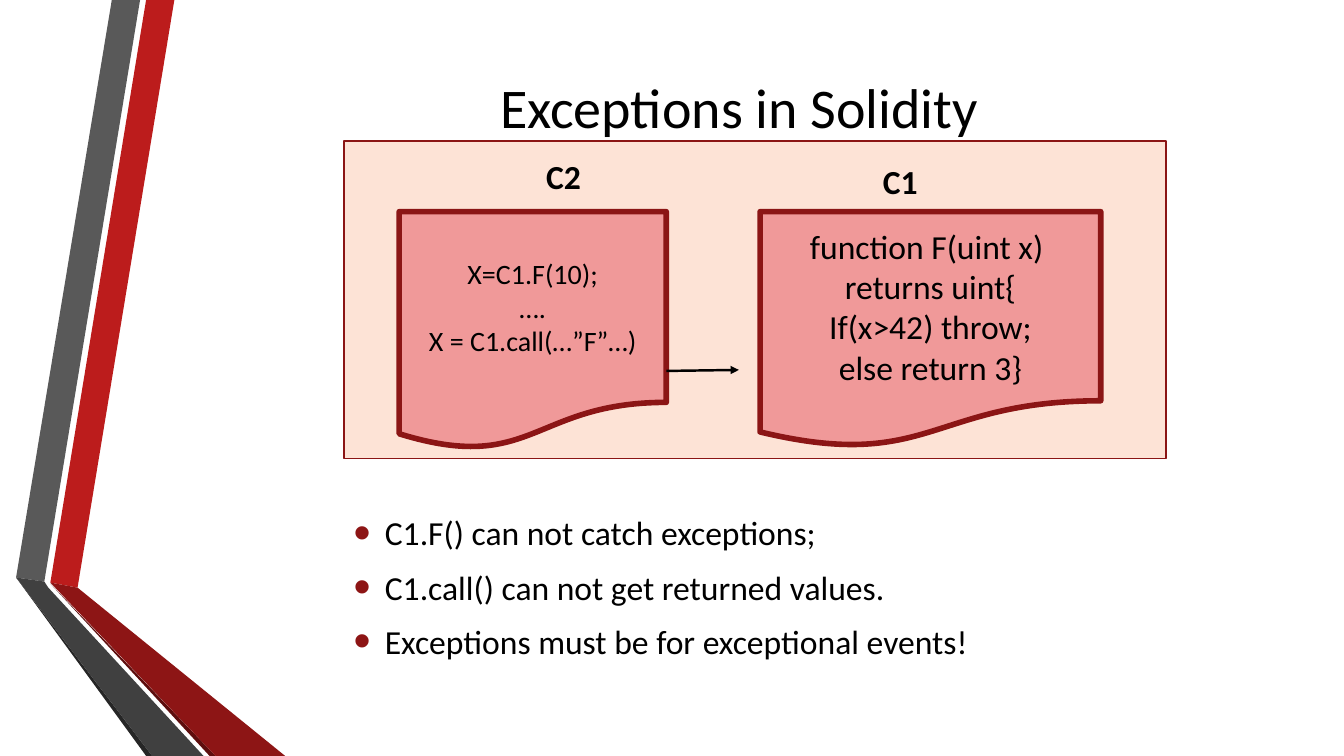
from lxml import etree
from pptx import Presentation
from pptx.dml.color import RGBColor
from pptx.enum.shapes import MSO_CONNECTOR, MSO_SHAPE
from pptx.enum.text import MSO_ANCHOR, PP_ALIGN
from pptx.oxml.ns import qn
from pptx.util import Inches, Pt

CELL = Inches(0.1)
COLUMNS, ROWS = 133.33, 75
FONT = "Calibri"
BLACK, DARK_RED, OUTLINE = "000000", "8D1515", "8B1515"
PANEL_FILL, DOCUMENT_FILL = "FDE3D6", "F09999"
RECTANGLE, DOCUMENT = MSO_SHAPE.RECTANGLE, MSO_SHAPE.FLOWCHART_DOCUMENT
STRAIGHT = MSO_CONNECTOR.STRAIGHT
TOP, MIDDLE = MSO_ANCHOR.TOP, MSO_ANCHOR.MIDDLE
LEFT, CENTER = PP_ALIGN.LEFT, PP_ALIGN.CENTER

RIBBONS = [
    ("BC1C1C", [(5, 57.8), (7.7, 58.3), (17.3, 0), (14.5, 0)]),
    ("595959", [(13.9, 0), (11.1, 0), (1.6, 57.3), (4.4, 57.7)]),
    ("262626", [(1.6, 57.3), (14.5, 75), (15.1, 75)]),
    ("5E0E0E", [(5, 57.9), (20.8, 75), (21.4, 75)]),
    (DARK_RED, [(5, 57.8), (21.4, 75), (28.3, 75), (7.7, 58.3)]),
    ("404040", [(20.2, 75), (4.8, 58.3), (4.4, 57.7), (1.6, 57.3), (15.1, 75)]),
]
CONTRACTS = [
    ("C1", (52.5, 1.5), (41.3, 7, 33.8, 23.4), 24,
     ["function F(uint x) ", "returns uint{", "If(x>42) throw;", "else return 3}"]),
    ("C2", (19.1, 1), (5.5, 7, 26.5, 23.6), 20,
     ["X=C1.F(10);", "….", "X = C1.call(…”F”…)"]),
]
REMARKS = [
    "C1.F() can not catch exceptions;",
    "C1.call() can not get returned values.",
    "Exceptions must be for exceptional events!",
]


def cells(*lengths):
    """Convert grid lengths to slide units."""
    return [round(length * CELL) for length in lengths]


def color(hex_string):
    """Turn a hex string into a colour."""
    return RGBColor.from_string(hex_string)


def write(shape, lines, size, alignment=CENTER, anchor=MIDDLE, bold=False, wrap=True):
    """Fill a shape with one paragraph per line in the slide font."""
    frame = shape.text_frame
    frame.word_wrap = wrap
    frame.vertical_anchor = anchor
    frame.text = "\n".join(lines)
    for paragraph in frame.paragraphs:
        paragraph.alignment = alignment
        for run in paragraph.runs:
            run.font.name, run.font.size, run.font.bold = FONT, Pt(size), bold
            run.font.color.rgb = color(BLACK)
    return frame


def add_panel(slide, kind, box, fill, line_width):
    """Add a filled shape with a dark red outline."""
    shape = slide.shapes.add_shape(kind, *cells(*box))
    shape.shadow.inherit = False
    shape.fill.solid()
    shape.fill.fore_color.rgb = color(fill)
    shape.line.color.rgb = color(OUTLINE)
    shape.line.width = Pt(line_width)
    return shape


def add_ribbons(slide, left, top):
    """Draw the two folded ribbons from the given corner."""
    for fill, points in RIBBONS:
        corners = [cells(left + x, top + y) for x, y in points]
        builder = slide.shapes.build_freeform(*corners[0])
        builder.add_line_segments(corners[1:], close=True)
        ribbon = builder.convert_to_shape()
        ribbon.shadow.inherit = False
        ribbon.fill.solid()
        ribbon.fill.fore_color.rgb = color(fill)
        ribbon.line.fill.background()


def add_title(slide, box, title):
    """Place the centred slide title."""
    write(slide.shapes.add_textbox(*cells(*box)), [title], 40)


def add_call_arrow(slide, start, end):
    """Draw the call arrow between two grid points."""
    arrow = slide.shapes.add_connector(STRAIGHT, *cells(*start, *end))
    arrow.line.color.rgb = color(BLACK)
    arrow.line.width = Pt(1.75)
    etree.SubElement(arrow.line._get_or_add_ln(), qn("a:tailEnd"), type="triangle")
    etree.SubElement(arrow._element.spPr, qn("a:effectLst"))


def add_diagram(slide, box):
    """Draw the panel with both contracts and the call between them."""
    left, top = box[:2]
    add_panel(slide, RECTANGLE, box, PANEL_FILL, 1.25)
    for name, (label_x, label_y), (x, y, width, height), size, code in CONTRACTS:
        document = add_panel(slide, DOCUMENT, (left + x, top + y, width, height),
                             DOCUMENT_FILL, 4)
        write(document, code, size)
        label = slide.shapes.add_textbox(*cells(left + label_x, top + label_y, 5.7, 5))
        write(label, [name], 24, LEFT, TOP, bold=True, wrap=False)
    add_call_arrow(slide, (left + 32, top + 22.8), (left + 39.2, top + 22.7))


def add_remarks(slide, box):
    """List the remarks with large red bullets."""
    frame = write(slide.shapes.add_textbox(*cells(*box)), REMARKS, 24, LEFT, TOP)
    frame.margin_top = Inches(0.14)
    indent = Inches(0.31)
    for paragraph in frame.paragraphs:
        paragraph.space_before, paragraph.space_after = Pt(4), Pt(6)
        properties = paragraph._p.get_or_add_pPr()
        properties.set("marL", str(indent))
        properties.set("indent", str(-indent))
        bullet_color = etree.SubElement(properties, qn("a:buClr"))
        etree.SubElement(bullet_color, qn("a:srgbClr"), val=DARK_RED)
        etree.SubElement(properties, qn("a:buSzPct"), val="145000")
        etree.SubElement(properties, qn("a:buFont"), typeface="Arial")
        etree.SubElement(properties, qn("a:buChar"), char="•")


def main():
    """Build and save the slide."""
    presentation = Presentation()
    presentation.slide_width, presentation.slide_height = cells(COLUMNS, ROWS)
    slide = presentation.slides.add_slide(presentation.slide_layouts[6])
    add_ribbons(slide, 0, 0)
    add_title(slide, (18.5, 0.9, 109.6, 19.2), "Exceptions in Solidity")
    add_remarks(slide, (34.1, 49.4, 99, 23.8))
    add_diagram(slide, (34.1, 14, 81.6, 31.5))
    presentation.save("out.pptx")


if __name__ == "__main__":
    main()
